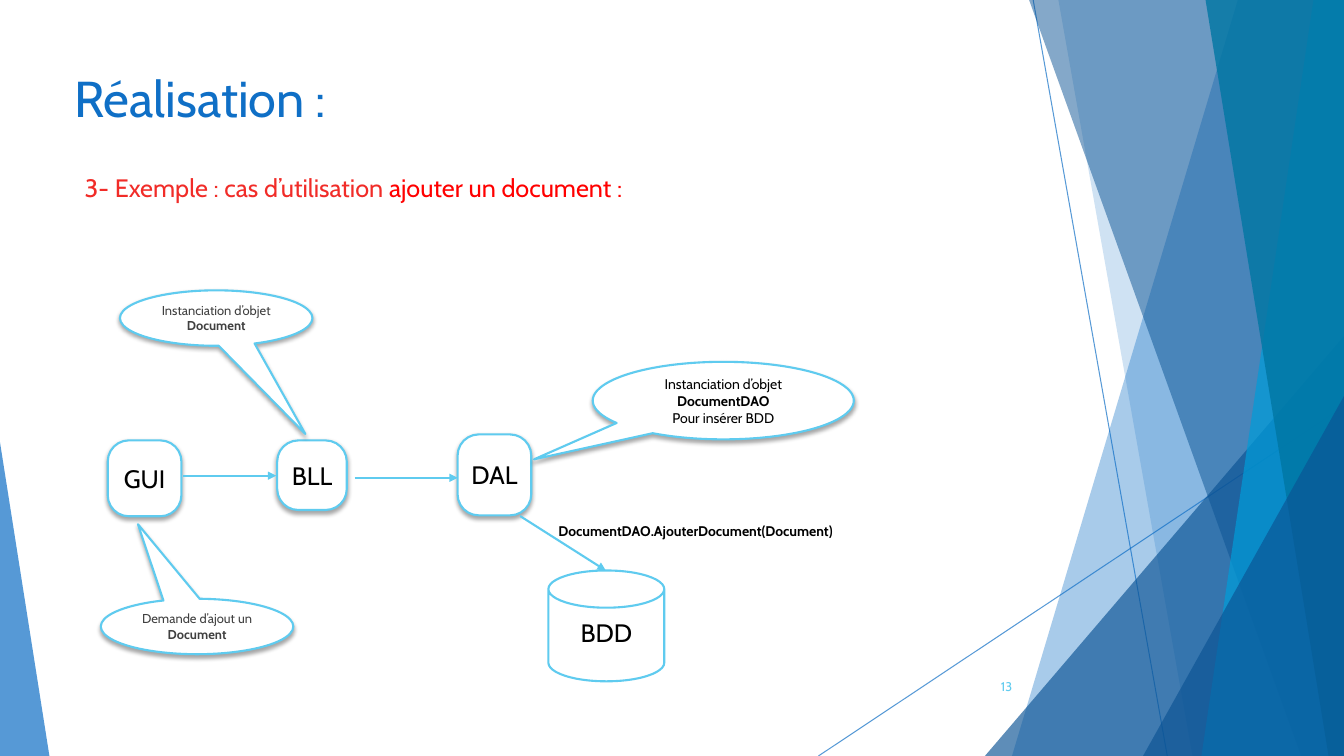
from lxml import etree
from pptx import Presentation
from pptx import util as u
from pptx.dml.color import RGBColor
from pptx.enum import shapes, text
from pptx.oxml.ns import qn

Pt = u.Pt
SHAPE = shapes.MSO_SHAPE
ALIGN = text.PP_ALIGN
ANCHOR = text.MSO_ANCHOR
FONT = "Cabin"
BLUE = RGBColor(0x0F, 0x6F, 0xC6)
NAVY = RGBColor(0x0B, 0x53, 0x94)
CYAN = RGBColor(0x00, 0x9D, 0xD9)
TEAL = RGBColor(0x00, 0x76, 0xA3)
SKY = RGBColor(0x5F, 0xCB, 0xEF)
CORAL = RGBColor(0xF1, 0x2C, 0x28)
RED = RGBColor(0xFF, 0x00, 0x00)
GREY = RGBColor(0x40, 0x40, 0x40)
BLACK = RGBColor(0, 0, 0)
WHITE = RGBColor(0xFF, 0xFF, 0xFF)


def set_all(target, values):
    """Set every attribute of a dict of format values."""
    for name, value in values.items():
        setattr(target, name, value)


def set_alpha(sp, percent):
    """Make the first colour of a shape partly transparent."""
    color = next(sp._element.spPr.iter(qn("a:srgbClr")))
    etree.SubElement(color, qn("a:alpha"), val=str(percent * 1000))


def add_shadow(sp):
    """Give a shape a soft shadow falling straight down."""
    effects = sp._element.spPr.find(qn("a:effectLst"))
    shadow = etree.SubElement(effects, qn("a:outerShdw"), blurRad=str(Pt(3)),
                              dist=str(Pt(2)), dir="5400000", rotWithShape="0")
    color = etree.SubElement(shadow, qn("a:srgbClr"), val="000000")
    etree.SubElement(color, qn("a:alpha"), val="35000")


def write(sp, paragraphs, size, inset=3.6, align=ALIGN.CENTER, anchor=ANCHOR.MIDDLE):
    """Write paragraphs of (text, colour, bold) runs into a shape."""
    tf = sp.text_frame
    sides = ("margin_left", "margin_top", "margin_right", "margin_bottom")
    set_all(tf, {"word_wrap": True, "vertical_anchor": anchor,
                 "auto_size": text.MSO_AUTO_SIZE.NONE})
    set_all(tf, dict.fromkeys(sides, Pt(inset)))
    for i, runs in enumerate(paragraphs):
        p = tf.add_paragraph() if i else tf.paragraphs[0]
        p.alignment = align
        for words, color, bold in runs:
            r = p.add_run()
            r.text = words
            set_all(r.font, {"name": FONT, "size": Pt(size), "bold": bold})
            r.font.color.rgb = color


def add_line(slide, start, end, color, width):
    """Draw a straight connector without a shadow."""
    sp = slide.shapes.add_connector(shapes.MSO_CONNECTOR.STRAIGHT,
                                    *map(Pt, (*start, *end)))
    sp.line.color.rgb = color
    sp.line.width = Pt(width)
    etree.SubElement(sp._element.spPr, qn("a:effectLst"))
    return sp


def add_arrow(slide, start, end):
    """Draw an arrow between two points."""
    sp = add_line(slide, start, end, SKY, 1.5)
    etree.SubElement(sp.line._get_or_add_ln(), qn("a:tailEnd"), type="triangle")


def add_outlined(slide, kind, box, adjustments, shadow=True):
    """Add a white shape with a sky-blue outline."""
    sp = slide.shapes.add_shape(kind, *map(Pt, box))
    sp.shadow.inherit = False
    sp.fill.solid()
    sp.fill.fore_color.rgb = WHITE
    sp.line.color.rgb = SKY
    sp.line.width = Pt(1.5)
    for i, value in enumerate(adjustments):
        sp.adjustments[i] = value
    if shadow:
        add_shadow(sp)
    return sp


def tint(sp, color, alpha):
    """Fill a facet with a transparent colour and no outline."""
    sp.shadow.inherit = False
    sp.fill.solid()
    sp.fill.fore_color.rgb = color
    sp.line.fill.background()
    set_alpha(sp, alpha)


def add_facets(slide, x, y, w, h):
    """Draw the translucent facets along the sides of the box."""
    right, bottom = x + w, y + h

    def band(top_x, bottom_x, color, alpha):
        """Draw a band between a slanted edge and the right side."""
        builder = slide.shapes.build_freeform(Pt(x + top_x), Pt(y))
        corners = [(right, y), (right, bottom), (x + bottom_x, bottom)]
        builder.add_line_segments([(Pt(a), Pt(b)) for a, b in corners])
        tint(builder.convert_to_shape(), color, alpha)

    def wedge(left, width, height, apex, color, alpha):
        """Draw a right-angled triangle standing on the bottom."""
        sp = slide.shapes.add_shape(
            SHAPE.ISOSCELES_TRIANGLE,
            *map(Pt, (left, bottom - height, width, height)))
        sp.adjustments[0] = apex
        tint(sp, color, alpha)

    for start, end in [((x + 738, y), (x + 833.8, bottom)),
                       ((right, y + 290.2), (x + 584.6, bottom))]:
        set_alpha(add_line(slide, start, end, BLUE, 0.75), 70)
    band(884.2, 722.9, BLUE, 36)
    band(756, 851.8, BLUE, 20)
    wedge(right - 256.5, 256.5, 300, 1, NAVY, 66)
    band(735.1, 929.5, NAVY, 50)
    band(938.2, 858.2, CYAN, 70)
    band(861.1, 949, TEAL, 80)
    wedge(right - 143.5, 143.5, 257, 1, NAVY, 66)
    wedge(x, 35.3, 224, 0, BLUE, 70)


def add_headings(slide, x, y, w, h):
    """Place the section heading, the slide title and the page number."""
    sp = slide.shapes.title
    set_all(sp, {"left": Pt(x), "top": Pt(y + 71.3), "width": Pt(w), "height": Pt(51)})
    write(sp, [[("3- Exemple : cas d’utilisation ", CORAL, False),
                ("ajouter un document :", RED, False)]],
          18, 7.2, ALIGN.LEFT, ANCHOR.TOP)
    sp.text_frame.margin_top = Pt(3.6)
    sp = slide.shapes.add_textbox(*map(Pt, (x, y, w, 55.4)))
    write(sp, [[("Réalisation :", BLUE, False)]], 36, 0, ALIGN.LEFT, ANCHOR.TOP)
    sp = slide.shapes.add_textbox(*map(Pt, (x + w - 54, y + h - 17.3, 54, 17.3)))
    write(sp, [[("13", SKY, False)]], 9, 7.2, ALIGN.RIGHT)


def add_layers(slide, x, y, w, h):
    """Draw the call chain from GUI to BDD with its callouts."""
    layers = [("GUI", (5, 107.6, 52.6, 54.2), 0.287),
              ("DAL", (254.9, 103.3, 52.6, 57.8), 0.287),
              ("BLL", (126, 107.6, 49.7, 49.7), 0.303)]
    for name, (left, top, width, height), corner in layers:
        sp = add_outlined(slide, SHAPE.ROUNDED_RECTANGLE,
                          (x + left, y + top, width, height), [corner])
        write(sp, [[(name, BLACK, False)]], 18)

    sp = add_outlined(slide, SHAPE.CAN, (x + 319.7, y + h - 79.2, 82.8, 79.2),
                      [0.336], shadow=False)
    write(sp, [[("BDD", BLACK, False)]], 18, 0)
    sp.text_frame.margin_bottom = Pt(4)

    arrows = [((59, 132.8), (125.3, 132.8)),
              ((181.4, 134.3), (254.9, 134.3)),
              ((299.5, 161.6), (360.7, 200.5))]
    for (x1, y1), (x2, y2) in arrows:
        add_arrow(slide, (x + x1, y + y1), (x + x2, y + y2))

    callouts = [
        ((351.4, 51.5, 186.5, 55.4), (-0.725, 0.757), 10,
         [[("Instanciation d’objet ", BLACK, False), ("DocumentDAO", BLACK, True)],
          [("Pour insérer BDD", BLACK, False)]]),
        ((13.7, 0.4, 137.5, 39.6), (0.463, 2.09), 9.2,
         [[("Instanciation d’objet ", GREY, False), ("Document", GREY, True)]]),
        ((0, 220.7, 137.5, 39.6), (-0.307, -1.845), 9.2,
         [[("Demande d’ajout un ", GREY, False), ("Document", GREY, True)]]),
    ]
    for (left, top, width, height), tip, size, words in callouts:
        sp = add_outlined(slide, SHAPE.OVAL_CALLOUT,
                          (x + left, y + top, width, height), tip)
        write(sp, words, size)

    sp = slide.shapes.add_textbox(*map(Pt, (x + 323.3, y + 162.4, w - 323.3, 19.4)))
    write(sp, [[("DocumentDAO.AjouterDocument(Document)", BLACK, True)]],
          10, 3.6, ALIGN.LEFT, ANCHOR.TOP)


def main():
    """Build the slide and save it."""
    prs = Presentation()
    set_all(prs, {"slide_width": Pt(960), "slide_height": Pt(540)})
    slide = prs.slides.add_slide(prs.slide_layouts[5])
    add_facets(slide, 0, 0, 960, 540)
    add_headings(slide, 53.3, 48.2, 676.8, 450.8)
    add_layers(slide, 72, 207, 550, 279.7)
    prs.save("out.pptx")


if __name__ == "__main__":
    main()
